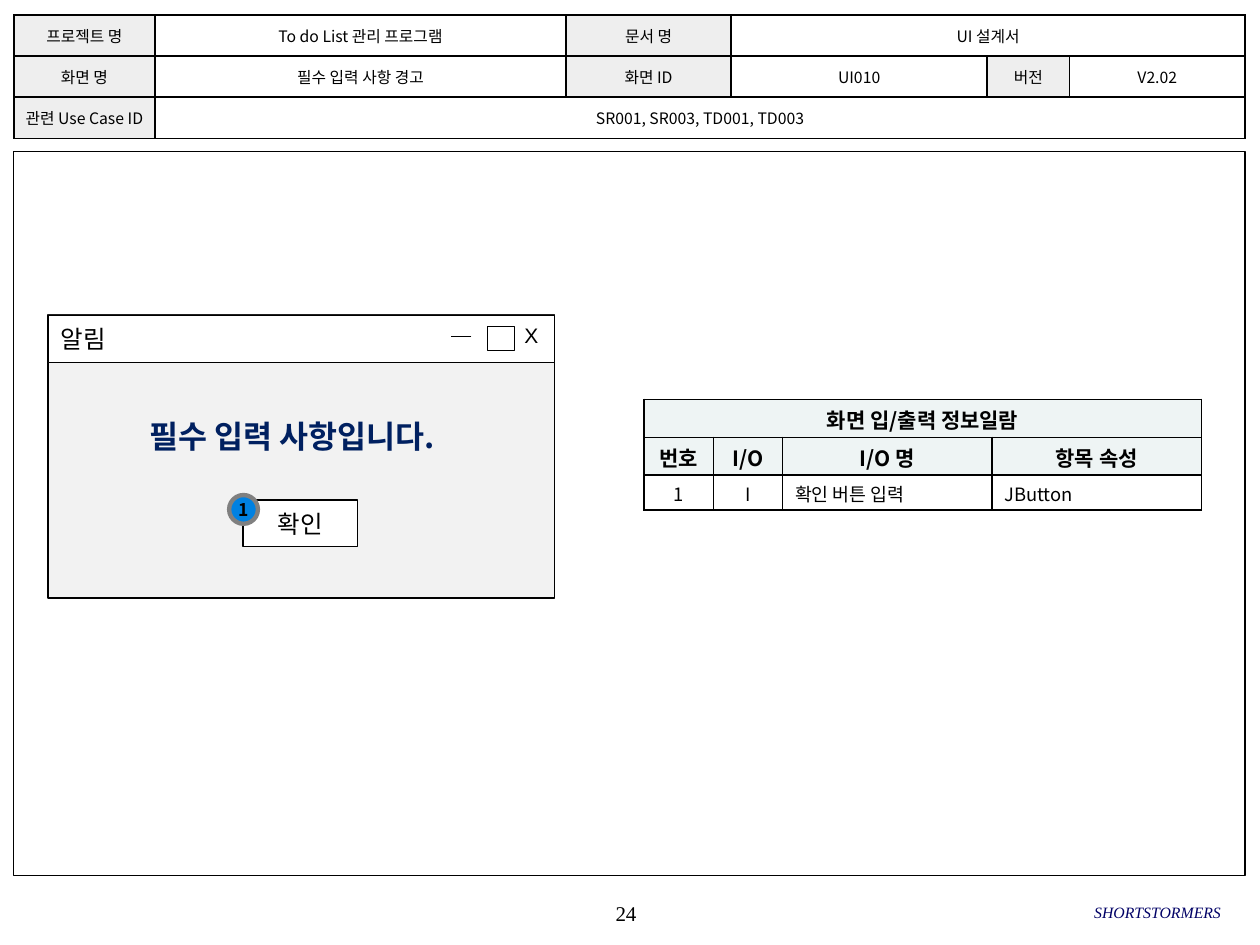
from lxml import etree
from pptx import Presentation
from pptx import util as u
from pptx.dml.color import RGBColor
from pptx.enum import shapes, text
from pptx.oxml import ns

Cm, Pt = u.Cm, u.Pt
KOREAN, SERIF, SANS = "Noto Sans CJK KR", "Times New Roman", "Arial"
LEFT, CENTER, RIGHT = text.PP_ALIGN.LEFT, text.PP_ALIGN.CENTER, text.PP_ALIGN.RIGHT
TOP, MIDDLE = text.MSO_ANCHOR.TOP, text.MSO_ANCHOR.MIDDLE
RECT, OVAL = shapes.MSO_SHAPE.RECTANGLE, shapes.MSO_SHAPE.OVAL
COLORS = {
    "black": "000000", "white": "FFFFFF", "label": "EEEEEE",
    "heading": "EEF4F4", "window": "F2F2F2", "message": "002060",
    "badge": "0081E2", "ring": "808080", "team": "000066",
}


def rgb(name):
    return RGBColor.from_string(COLORS[name])


def write(frame, words, size, font=KOREAN, color="black", align=CENTER,
          bold=False, italic=False):
    frame.text = words
    paragraph = frame.paragraphs[0]
    paragraph.alignment = align
    for run in paragraph.runs:
        run.font.size, run.font.name = Pt(size), font
        run.font.bold, run.font.italic = bold, italic
        run.font.color.rgb = rgb(color)
        east_asian = etree.SubElement(run.font._element, ns.qn("a:ea"))
        east_asian.set("typeface", font)


def set_insets(holder, left, top, right, bottom):
    holder.margin_left, holder.margin_top = Cm(left), Cm(top)
    holder.margin_right, holder.margin_bottom = Cm(right), Cm(bottom)


def add_box(slide, box, fill=None, line=None, width=0.25, kind=RECT,
            words=None, anchor=MIDDLE, **style):
    shape = slide.shapes.add_shape(kind, *map(Cm, box))
    shape.shadow.inherit = False
    if fill:
        shape.fill.solid()
        shape.fill.fore_color.rgb = rgb(fill)
    else:
        shape.fill.background()
    if line:
        shape.line.color.rgb = rgb(line)
        shape.line.width = Pt(width)
    else:
        shape.line.fill.background()
    if words:
        shape.text_frame.word_wrap = False
        shape.text_frame.vertical_anchor = anchor
        write(shape.text_frame, words, **style)


def add_label(slide, box, words, size, insets=(0, 0, 0, 0), anchor=MIDDLE,
              wrap=True, **style):
    frame = slide.shapes.add_textbox(*map(Cm, box)).text_frame
    frame.word_wrap = wrap
    frame.vertical_anchor = anchor
    set_insets(frame, *insets)
    write(frame, words, size, **style)


def add_rule(slide, start, end):
    rule = slide.shapes.add_connector(
        shapes.MSO_CONNECTOR.STRAIGHT, *map(Cm, start + end))
    rule.line.color.rgb = rgb("black")
    rule.line.width = Pt(0.25)
    etree.SubElement(rule._element.spPr, ns.qn("a:effectLst"))


def outline_cell(cell):
    properties = cell._tc.get_or_add_tcPr()
    for side in ("lnL", "lnR", "lnT", "lnB"):
        edge = etree.SubElement(properties, ns.qn(f"a:{side}"), w=str(Pt(1)))
        solid = etree.SubElement(edge, ns.qn("a:solidFill"))
        etree.SubElement(solid, ns.qn("a:srgbClr"), val=COLORS["black"])


def add_grid(slide, left, top, widths, heights, rows, insets, style_for):
    """Draw a table; None in a row extends the cell on its left."""
    table = slide.shapes.add_table(
        len(heights), len(widths), Cm(left), Cm(top),
        Cm(sum(widths)), Cm(sum(heights))).table
    table.first_row = table.horz_banding = False
    for column, width in zip(table.columns, widths):
        column.width = Cm(width)
    for r, (height, values) in enumerate(zip(heights, rows)):
        table.rows[r].height = Cm(height)
        for c, words in enumerate(values):
            cell = table.cell(r, c)
            outline_cell(cell)
            set_insets(cell, *insets)
            if words is None:
                continue
            last = c
            while last + 1 < len(values) and values[last + 1] is None:
                last += 1
            if last > c:
                cell.merge(table.cell(r, last))
            fill, style = style_for(r, c)
            cell.fill.solid()
            cell.fill.fore_color.rgb = rgb(fill)
            cell.vertical_anchor = MIDDLE
            write(cell.text_frame, words, **style)


def header_style(row, column):
    is_label = column % 2 == 0
    return ("label" if is_label else "white"), {"size": 9}


def io_style(row, column):
    if row < 2:
        return "heading", {"size": 12, "bold": True}
    return "white", {"size": 10.5, "align": CENTER if column < 2 else LEFT}


def add_header(slide):
    rows = [
        ["프로젝트 명", "To do List 관리 프로그램", "문서 명", "UI 설계서", None, None],
        ["화면 명", "필수 입력 사항 경고", "화면 ID", "UI010", "버전", "V2.02"],
        ["관련 Use Case ID", "SR001, SR003, TD001, TD003", None, None, None, None],
    ]
    add_grid(slide, 0.28, 0.3, [2.84, 8.29, 3.33, 5.16, 1.66, 3.54],
             [0.83] * 3, rows, (0.1, 0.05, 0.1, 0.05), header_style)


def add_io_list(slide):
    rows = [
        ["화면 입/출력 정보일람", None, None, None],
        ["번호", "I/O", "I/O 명", "항목 속성"],
        ["1", "I", "확인 버튼 입력", "JButton"],
    ]
    add_grid(slide, 12.98, 8.05, [1.4, 1.4, 4.22, 4.22], [0.76, 0.76, 0.7],
             rows, (0.25, 0.1, 0.25, 0.05), io_style)


def add_dialog(slide):
    left, top, width = 0.97, 6.35, 10.21
    add_box(slide, (left, top, width, 5.71), "window", "black", 1)
    add_box(slide, (2.77, 8.28, 7.14, 1.02), "window", words="필수 입력 사항입니다.",
            anchor=TOP, size=18, color="message", align=LEFT, bold=True)
    # Title bar and its window controls
    add_box(slide, (left, top, width, 0.96), "white", "black",
            words="알림", size=14, align=LEFT)
    add_label(slide, (10.49, 6.38, 0.33, 0.76), "X", 12, font=SANS, align=LEFT,
              anchor=TOP, insets=(0.08, 0.13, 0, 0.13), wrap=False)
    add_box(slide, (9.83, 6.58, 0.53, 0.48), "white", "black")
    add_rule(slide, (9.5, 6.78), (9.09, 6.78))
    # Confirm button and its number
    add_box(slide, (4.9, 10.08, 2.31, 0.94), "white", "black", 1,
            words="확인", size=14)
    add_box(slide, (4.62, 9.98, 0.58, 0.58), "badge", "ring", 2.5, OVAL,
            words="1", size=10, bold=True)


def add_footer(slide):
    add_label(slide, (9.98, 17.98, 5.28, 0.84), "24", 12, font=SERIF)
    add_label(slide, (16.84, 17.96, 7.77, 0.84), "SHORTSTORMERS", 9,
              font=SERIF, color="team", align=RIGHT, italic=True)


def main():
    deck = Presentation()
    deck.slide_width, deck.slide_height = Cm(25.4), Cm(19.05)
    slide = deck.slides.add_slide(deck.slide_layouts[6])
    # Page frame
    add_box(slide, (0.28, 3.05, 24.82, 14.6), line="black", width=0.75)
    add_header(slide)
    add_io_list(slide)
    add_dialog(slide)
    add_footer(slide)
    deck.save("out.pptx")


if __name__ == "__main__":
    main()
